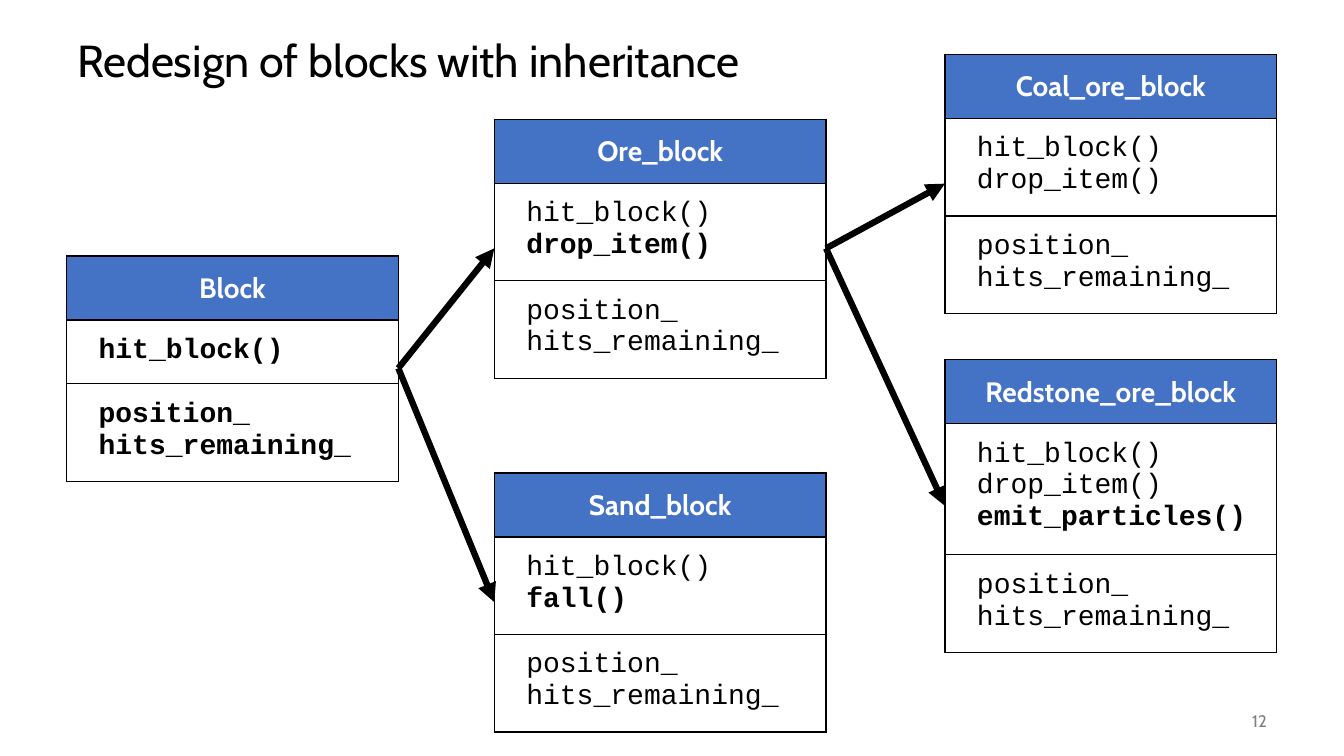
"""Build the slide on block classes and their inheritance."""
from lxml import etree
from pptx import Presentation
from pptx.dml.color import RGBColor
from pptx.enum.shapes import MSO_CONNECTOR
from pptx.enum.text import MSO_ANCHOR, PP_ALIGN
from pptx.oxml.ns import qn
from pptx.util import Inches, Pt

STRAIGHT = MSO_CONNECTOR.STRAIGHT
MIDDLE = MSO_ANCHOR.MIDDLE
LEFT, CENTER, RIGHT = PP_ALIGN.LEFT, PP_ALIGN.CENTER, PP_ALIGN.RIGHT

THEME = {
    "ink": "000000", "head": "4472C4", "paper": "FFFFFF", "faint": "808080",
    "sans": "Cabin", "mono": "Courier New",
    "title": 32, "text": 20, "note": 12, "edge": 1, "arrow": 4.5,
}
WIDE, TALL = Inches(13.33), Inches(7.5)


def place(x, y):
    """Turn percentages of the slide's size into lengths."""
    return round(WIDE * x / 100), round(TALL * y / 100)


def style(frame, size, font, ink, align, bold=()):
    """Format every paragraph, with the texts listed in bold set heavy."""
    for par in frame.paragraphs:
        par.alignment = align
        for run in par.runs:
            run.font.size = Pt(THEME[size])
            run.font.name = THEME[font]
            run.font.color.rgb = RGBColor.from_string(THEME[ink])
            run.font.bold = run.text in bold
        end = etree.SubElement(
            par._p, qn("a:endParaRPr"), sz=str(THEME[size] * 100))
        etree.SubElement(end, qn("a:latin"), typeface=THEME[font])


deck = Presentation()
deck.slide_width, deck.slide_height = WIDE, TALL
slide = deck.slides.add_slide(deck.slide_layouts[5])

title = slide.shapes.title
title.left, title.top = place(4.98, 3.33)
title.width, title.height = place(90, 10)
title.text_frame.text = "Redesign of blocks with inheritance"
title.text_frame.vertical_anchor = MIDDLE
title.text_frame.paragraphs[0].line_spacing = 0.9
style(title.text_frame, "title", "sans", "ink", LEFT)

page = slide.shapes.add_textbox(*place(87.5, 92.67), *place(7.5, 5.33))
page.text_frame.word_wrap = True
page.text_frame.vertical_anchor = MIDDLE
page.text_frame.text = "12"
style(page.text_frame, "note", "sans", "faint", RIGHT)

COLS = [4.96, 36.78, 70.31]
SPAN, BASE, LINE = 24.68, 16.27, 4.47
FIELDS = ["position_", "hits_remaining_"]
BLOCKS = [
    ("Block", 0, 33.87, ["hit_block()"]),
    ("Ore_block", 1, 15.78, ["hit_block()", "drop_item()"]),
    ("Sand_block", 1, 62.58, ["hit_block()", "fall()"]),
    ("Coal_ore_block", 2, 7.22, ["hit_block()", "drop_item()"]),
    ("Redstone_ore_block", 2, 47.6,
     ["hit_block()", "drop_item()", "emit_particles()"]),
]

seen = set()
ports = {}
for name, col, top, calls in BLOCKS:
    high = BASE + LINE * len(calls + FIELDS)
    ports[name] = COLS[col], top + high / 2
    frame = slide.shapes.add_table(
        3, 1, *place(COLS[col], top), *place(SPAN, high))
    table = frame.table
    table.horz_banding = False
    for row, part in enumerate([[name], calls, FIELDS]):
        table.rows[row].height = 0
        cell = table.cell(row, 0)
        inset, gap = place(1.12, 2)
        cell.margin_left = cell.margin_right = inset
        cell.margin_top = cell.margin_bottom = gap
        cell.text_frame.text = "\n".join(part)
        fresh = set(part) - seen
        seen.update(part)
        props = cell._tc.get_or_add_tcPr()
        for side in "LRTB":
            edge = etree.SubElement(
                props, qn("a:ln" + side), w=str(Pt(THEME["edge"])))
            solid = etree.SubElement(edge, qn("a:solidFill"))
            etree.SubElement(solid, qn("a:srgbClr"), val=THEME["ink"])
        if row == 0:
            style(cell.text_frame, "text", "sans", "paper", CENTER, fresh)
            cell.fill.solid()
            cell.fill.fore_color.rgb = RGBColor.from_string(THEME["head"])
        else:
            cell.margin_left = place(2.38, 0)[0]
            style(cell.text_frame, "text", "mono", "ink", LEFT, fresh)
            cell.fill.background()
    frame.height = place(0, high)[1]

LINKS = [
    ("Block", "Ore_block"), ("Block", "Sand_block"),
    ("Ore_block", "Coal_ore_block"), ("Ore_block", "Redstone_ore_block"),
]
for base, child in LINKS:
    x, y = ports[base]
    arrow = slide.shapes.add_connector(
        STRAIGHT, *place(x + SPAN, y), *place(*ports[child]))
    arrow.line.width = Pt(THEME["arrow"])
    arrow.line.color.rgb = RGBColor.from_string(THEME["ink"])
    etree.SubElement(
        arrow.line._get_or_add_ln(), qn("a:tailEnd"), type="triangle")
    etree.SubElement(arrow._element.spPr, qn("a:effectLst"))

deck.save("out.pptx")
